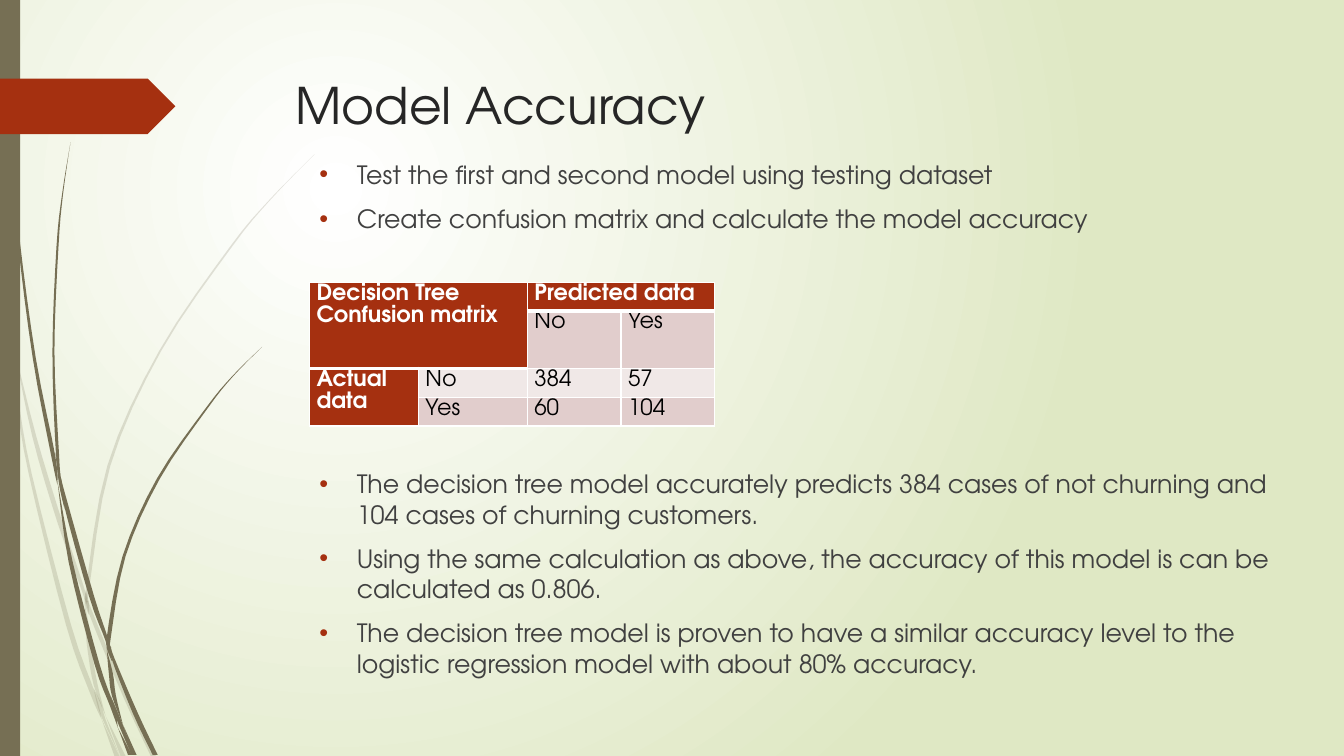
from lxml import etree
from pptx import Presentation
from pptx.dml.color import RGBColor
from pptx.enum.shapes import MSO_SHAPE
from pptx.oxml import parse_xml
from pptx.oxml.ns import qn
from pptx.util import Inches, Pt

RECTANGLE, TAG = MSO_SHAPE.RECTANGLE, MSO_SHAPE.PENTAGON
WIDTH, HEIGHT = 13.33, 7.5
FONT = "TeX Gyre Adventor"
COLORS = {"glow": "FFFFFF", "edge": "DFE8C4", "olive": "766F54", "rust": "A53010",
          "title": "262626", "body": "404040", "white": "FFFFFF", "black": "000000",
          "pink": "E1CDCC", "pale_pink": "F0E8E7"}
TITLE_FORMAT = {"size": Pt(36), "name": FONT, "bold": False}
BODY_FORMAT = {"size": Pt(18), "name": FONT, "bold": False}
HEADER_FORMAT = {"size": Pt(16), "name": FONT, "bold": True}
VALUE_FORMAT = {"size": Pt(16), "name": FONT, "bold": False}

INTRO = ["Test the first and second model using testing dataset",
         "Create confusion matrix and calculate the model accuracy"]
FINDINGS = [
    "The decision tree model accurately predicts 384 cases of not churning and "
    "104 cases of churning customers.",
    "Using the same calculation as above, the accuracy of this model is can be "
    "calculated as 0.806.",
    "The decision tree model is proven to have a similar accuracy level to the "
    "logistic regression model with about 80% accuracy.",
]
MATRIX = [["Decision Tree Confusion matrix", "", "Predicted data", ""],
          ["", "", "No", "Yes"],
          ["Actual data", "No", "384", "57"],
          ["", "Yes", "60", "104"]]
MERGES = [((0, 0), (1, 1)), ((0, 2), (0, 3)), ((2, 0), (3, 0))]
COLUMN_WIDTHS = [1.08, 1.08, 0.93, 0.93]
ROW_HEIGHTS = [0.23, 0.24, 0.23, 0.24]

# Grass blades: (x, y, breadth) along each centre line, in inches
PALE_BLADES = [
    [(0, 2.82, 0), (.09, 3.33, .02), (.11, 3.5, 0)],
    [(.14, 3.45, 0), (.34, 4.33, .04), (.6, 5.2, .05), (.84, 5.9, .03), (.84, 5.99, 0)],
    [(.88, 5.96, 0), (.9, 6.08, .04), (1.25, 6.93, .04), (1.52, 7.5, .05)],
    [(1.05, 7.11, 0), (1.22, 7.5, .05)],
    [(.11, 3.5, 0), (.17, 3.95, .02), (.3, 4.7, .03), (.68, 6.2, .05),
     (.92, 6.88, .05), (1.01, 7.14, 0)],
    [(.84, 5.99, 0), (.87, 6.25, .04), (.89, 6.46, .04), (.95, 6.8, .04), (1.05, 7.11, 0)],
    [(3.12, 1.53, 0), (2.68, 1.98, .01), (2.29, 2.45, .02), (1.59, 3.48, .02),
     (1.08, 4.62, .03), (.87, 5.84, .03), (.88, 5.96, 0)],
    [(1.01, 7.14, 0), (1.16, 7.5, .05)],
    [(.85, 5.86, 0), (.86, 5.98, .04), (.88, 6.1, 0)],
    [(.93, 6.83, 0), (.98, 6.97, .04), (1.03, 7.13, .03), (1.19, 7.5, 0)],
]
DARK_BLADES = [
    [(.03, 0, .01), (.07, 1.1, .01), (.18, 2.33, .02), (.34, 3.55, .03),
     (.53, 4.53, .04), (.57, 4.81, 0)],
    [(.6, 4.72, 0), (.64, 4.95, .04), (.91, 5.92, .05), (1.06, 6.35, .03), (1.06, 6.45, 0)],
    [(1.1, 6.41, 0), (1.12, 6.53, .03), (1.34, 7.07, .05), (1.54, 7.49, .05)],
    [(.57, 4.77, 0), (.7, 5.57, .04), (.96, 6.58, .05), (1.11, 7, .04), (1.17, 7.22, 0)],
    [(.7, 1.41, 0), (.62, 1.93, .01), (.57, 2.45, .02), (.53, 3.49, .02),
     (.57, 4.5, .03), (.6, 4.72, 0)],
    [(1.22, 7.19, 0), (1.34, 7.49, .03)],
    [(.55, 4.49, 0), (.6, 4.8, .03), (.64, 5.05, 0)],
    [(2.6, 3.44, 0), (2.31, 3.73, .01), (2.05, 4.05, .02), (1.57, 4.75, .03),
     (1.23, 5.52, .03), (1.08, 6.32, .04), (1.1, 6.41, 0)],
    [(1.17, 7.22, 0), (1.29, 7.49, .04)],
    [(1.06, 6.45, 0), (1.1, 6.68, .04), (1.13, 6.9, .04), (1.22, 7.19, 0)],
    [(1.06, 6.31, 0), (1.08, 6.43, .04), (1.11, 6.56, 0)],
    [(1.1, 6.91, 0), (1.17, 7.12, .04), (1.32, 7.49, .03)],
]


def rgb(name):
    return RGBColor.from_string(COLORS[name])


def apply_format(target, values):
    for attribute, value in values.items():
        setattr(target, attribute, value)


def paint(shape, color):
    shape.shadow.inherit = False
    shape.fill.solid()
    shape.fill.fore_color.rgb = rgb(color)
    shape.line.fill.background()


def add_background(slide):
    fill = slide.background.fill
    fill.gradient()
    for stop, color, position in zip(fill.gradient_stops, ("glow", "edge"), (0, 1)):
        stop.color.rgb = rgb(color)
        stop.position = position
    gradient = slide.background._cSld.find(".//" + qn("a:gradFill"))
    gradient.remove(gradient.find(qn("a:lin")))
    circle = etree.SubElement(gradient, qn("a:path"), path="circle")
    etree.SubElement(circle, qn("a:fillToRect"),
                     l="50000", t="50000", r="100000", b="100000")


def smooth_curve(knots, steps=4):
    """Catmull-Rom curve through the knots."""
    ends = [knots[0], *knots, knots[-1]]
    curve = []
    for before, start, end, after in zip(ends, ends[1:], ends[2:], ends[3:]):
        for t in (step / steps for step in range(steps)):
            curve.append(tuple(
                b + t / 2 * (c - a + t * (2 * a - 5 * b + 4 * c - d
                                          + t * (3 * (b - c) + d - a)))
                for a, b, c, d in zip(before, start, end, after)))
    return curve + [knots[-1]]


def add_blade(slide, knots, opacity=100):
    curve = smooth_curve(knots)
    outline = [(x - w / 2, y) for x, y, w in curve]
    outline += [(x + w / 2, y) for x, y, w in reversed(curve)]
    points = [(Inches(max(x, 0)), Inches(y)) for x, y in outline]
    builder = slide.shapes.build_freeform(*points[0], scale=1.0)
    builder.add_line_segments(points[1:], close=True)
    blade = builder.convert_to_shape()
    paint(blade, "olive")
    color = blade._element.spPr.find(".//" + qn("a:srgbClr"))
    etree.SubElement(color, qn("a:alpha"), val=str(opacity * 1000))


def add_block(slide, kind, top, width, height, color):
    block = slide.shapes.add_shape(kind, 0, Inches(top), Inches(width), Inches(height))
    paint(block, color)


def add_text(slide, place, lines, values, color, bulleted=False):
    frame = slide.shapes.add_textbox(*map(Inches, place)).text_frame
    frame.word_wrap = True
    for index, line in enumerate(lines):
        paragraph = frame.add_paragraph() if index else frame.paragraphs[0]
        add_run(paragraph, line, values, color)
        if bulleted:
            paragraph.space_before = Pt(10)
            add_bullet(paragraph)


def add_run(paragraph, words, values, color):
    run = paragraph.add_run()
    run.text = words
    apply_format(run.font, values)
    run.font.color.rgb = rgb(color)


def add_bullet(paragraph):
    properties = paragraph._p.get_or_add_pPr()
    indent = Inches(0.37)
    properties.set("marL", str(indent))
    properties.set("indent", str(-indent))
    bullet_color = etree.SubElement(properties, qn("a:buClr"))
    etree.SubElement(bullet_color, qn("a:srgbClr"), val=COLORS["rust"])
    etree.SubElement(properties, qn("a:buFont"), typeface="Arial")
    etree.SubElement(properties, qn("a:buChar"), char="•")


def add_borders(cell, bottom):
    properties = cell._tc.get_or_add_tcPr()
    namespace = "http://schemas.openxmlformats.org/drawingml/2006/main"
    for index, (side, points) in enumerate(zip("LRTB", (1, 1, 1, bottom))):
        properties.insert(index, parse_xml(
            f'<a:ln{side} xmlns:a="{namespace}" w="{Pt(points)}"><a:solidFill>'
            f'<a:srgbClr val="{COLORS["white"]}"/></a:solidFill></a:ln{side}>'))


def style_cell(cell, row, column):
    in_corner = row < 2 and column < 2
    is_header = row == 0 or column == 0 or in_corner
    cell.fill.solid()
    cell.fill.fore_color.rgb = rgb(
        "rust" if is_header else "pale_pink" if row == 2 else "pink")
    apply_format(cell, {"margin_left": Inches(0.07), "margin_right": Inches(0.07),
                        "margin_top": 0, "margin_bottom": 0})
    add_borders(cell, 3 if row == 0 or in_corner else 1)
    paragraph = cell.text_frame.paragraphs[0]
    paragraph.line_spacing = 1.07
    if MATRIX[row][column]:
        add_run(paragraph, MATRIX[row][column],
                *((HEADER_FORMAT, "white") if is_header else (VALUE_FORMAT, "black")))
    else:  # keeps merged cells from stretching their row
        etree.SubElement(paragraph._p, qn("a:endParaRPr"), sz="1000")


def add_matrix(slide, left, top):
    size = sum(COLUMN_WIDTHS), sum(ROW_HEIGHTS)
    matrix = slide.shapes.add_table(len(MATRIX), len(MATRIX[0]),
                                    *map(Inches, (left, top, *size))).table
    for column, width in zip(matrix.columns, COLUMN_WIDTHS):
        column.width = Inches(width)
    for row, height in zip(matrix.rows, ROW_HEIGHTS):
        row.height = Inches(height)
    for first, last in MERGES:
        matrix.cell(*first).merge(matrix.cell(*last))
    for row, words in enumerate(MATRIX):
        for column in range(len(words)):
            style_cell(matrix.cell(row, column), row, column)


def main():
    deck = Presentation()
    apply_format(deck, {"slide_width": Inches(WIDTH), "slide_height": Inches(HEIGHT)})
    slide = deck.slides.add_slide(deck.slide_layouts[6])
    # Backdrop
    add_background(slide)
    for blades, opacity in ((PALE_BLADES, 20), (DARK_BLADES, 100)):
        for blade in blades:
            add_blade(slide, blade, opacity)
    add_block(slide, RECTANGLE, 0, 0.2, HEIGHT, "olive")
    add_block(slide, TAG, 0.78, 1.74, 0.55, "rust")
    # Content
    add_text(slide, (2.83, 0.69, 9.75, 1.4), ["Model Accuracy"], TITLE_FORMAT, "title")
    add_matrix(slide, 3.07, 2.8)
    add_text(slide, (3.07, 1.53, 9.75, 0.9), INTRO, BODY_FORMAT, "body", bulleted=True)
    add_text(slide, (3.07, 4.6, 9.75, 2.3), FINDINGS, BODY_FORMAT, "body", bulleted=True)
    deck.save("out.pptx")


if __name__ == "__main__":
    main()
